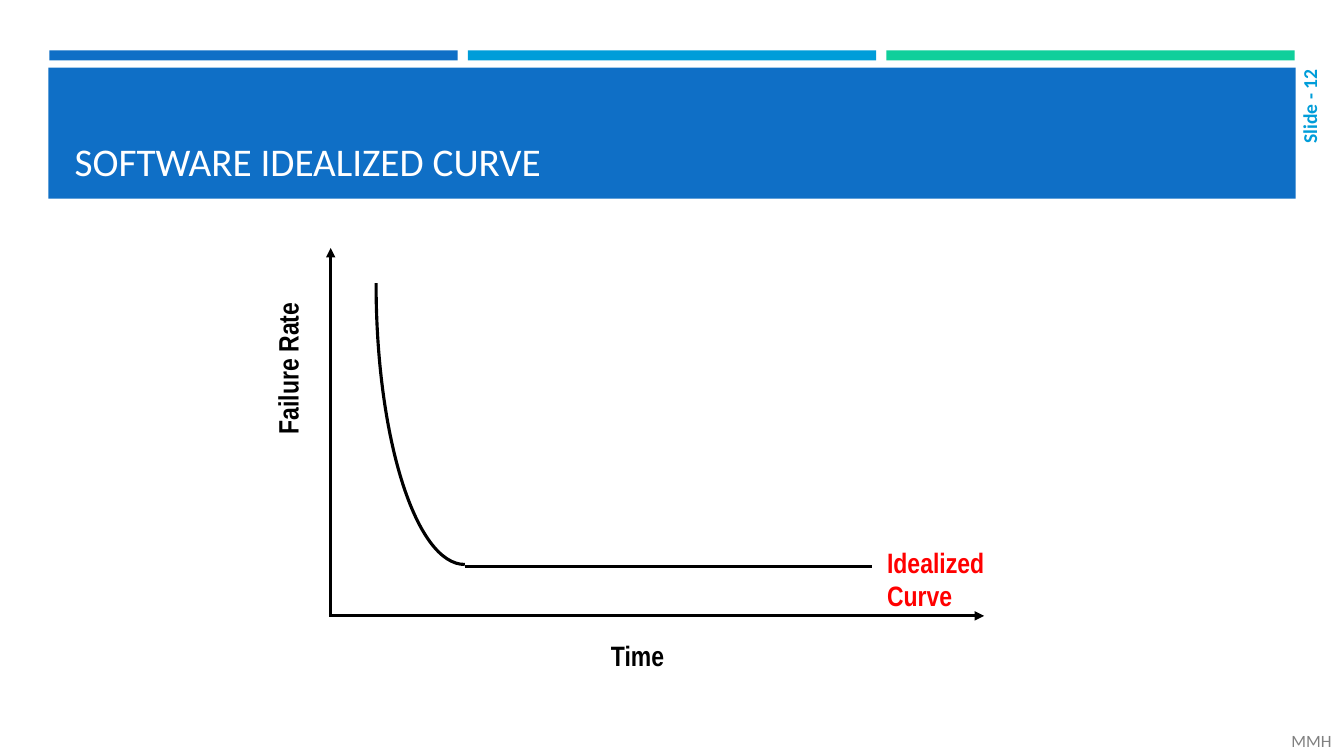
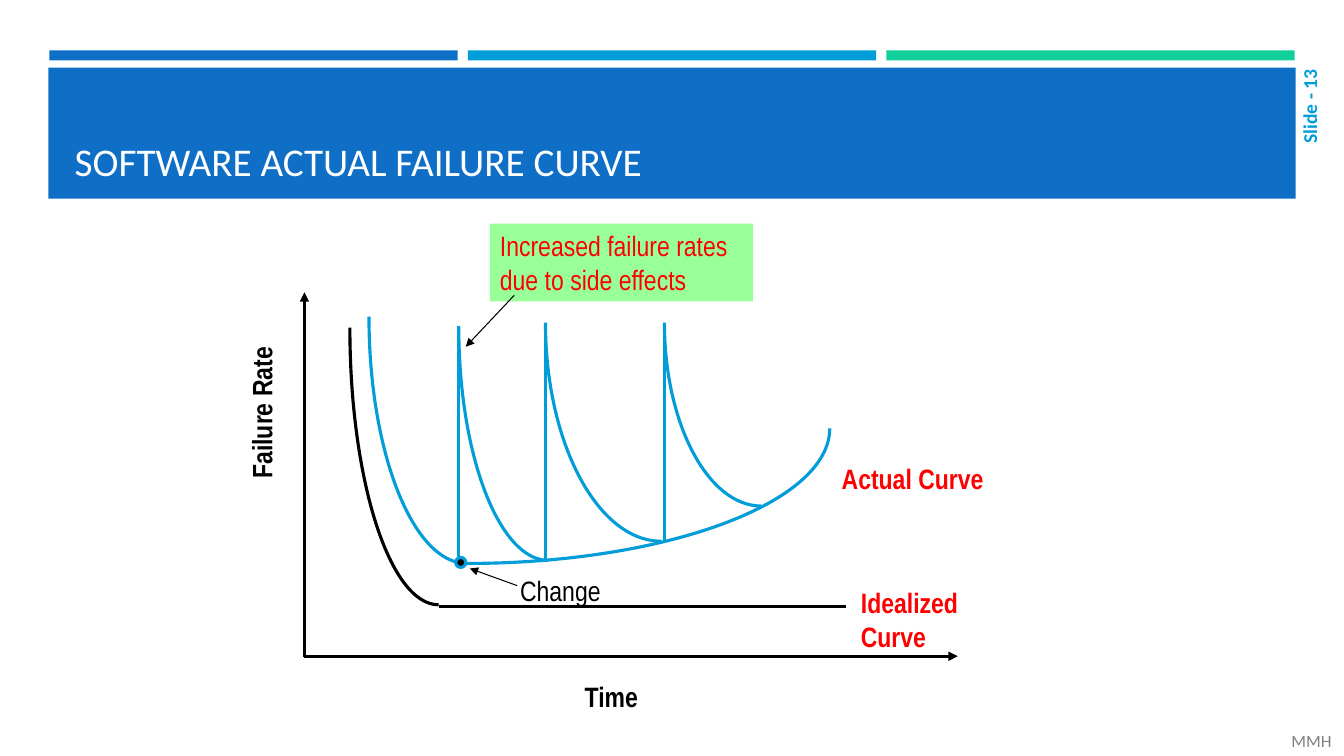
from pptx import Presentation
from pptx import util as u
from pptx.dml.color import RGBColor
from pptx.enum import shapes, text
from pptx.oxml import parse_xml
from pptx.oxml.ns import nsdecls, qn

BLUE = RGBColor(0x0F, 0x6F, 0xC6)
SKY = RGBColor(0x00, 0x9D, 0xD9)
GREEN = RGBColor(0x10, 0xCF, 0x9B)
MINT = RGBColor(0x99, 0xFF, 0x99)
RED = RGBColor(0xFF, 0x00, 0x00)
GREY = RGBColor(0x80, 0x80, 0x80)
BLACK = RGBColor(0x00, 0x00, 0x00)
WHITE = RGBColor(0xFF, 0xFF, 0xFF)

PX = 9144
HEAVY, FINE = 2.25, 0.75
ROUNDNESS = 0.55

STRIPES = (BLUE, SKY, GREEN)
STRIPE_LEFT, STRIPE_WIDTH, STRIPE_GAP = 49, 405, 10
TITLE_BAND = (48, 67, 1237, 130)
TITLE_BOX = (64, 77, 1206, 111)
NUMBER_BOX = (1275, 59, 47, 134)
AUTHOR_BOX = (1271, 720, 62, 30)
AUTHOR = "MMH"

SLIDES = [
    dict(title="SOFTWARE IDEALIZED CURVE", number=12, axes=(328, 246, 611), actual=False),
    dict(title="SOFTWARE ACTUAL FAILURE CURVE", number=13, axes=(302, 290, 651), actual=True),
]

FIRST_ARCS = [((463, 559), (366, 314)), ((463, 559), (823, 425))]
CHANGES = [
    ((455, 558), (455, 323), (544, 556), (455, 324)),
    ((541, 556), (541, 322), (656, 537), (541, 320)),
    ((659, 539), (659, 320), (755, 502), (659, 320)),
]
CHANGE_DOT = (452, 553, 10, 10)
CHANGE = ("Change", (506, 564, 102, 36), ((513, 581), (466, 564)))
ACTUAL_LABEL = ("Actual Curve", (825, 453, 163, 36))
CALLOUT = (
    "Increased failure rates\ndue to side effects",
    (486, 222, 261, 77),
    ((510, 293), (462, 344)),
)


def px(*lengths):
    return [u.Emu(round(length * PX)) for length in lengths]


def write(frame, content, size=20, color=BLACK, bold=False, font="Arial Narrow", wrap=True,
          align=text.PP_ALIGN.LEFT, anchor=text.MSO_ANCHOR.TOP):
    frame.word_wrap = wrap
    frame.auto_size = text.MSO_AUTO_SIZE.NONE
    frame.vertical_anchor = anchor
    frame.text = content
    for paragraph in frame.paragraphs:
        paragraph.alignment = align
        for run in paragraph.runs:
            run.font.name = font
            run.font.size = u.Pt(size)
            run.font.bold = bold
            run.font.color.rgb = color


def add_label(slide, box, content, **style):
    label = slide.shapes.add_textbox(*px(*box))
    write(label.text_frame, content, **style)
    return label


def add_block(slide, box, fill, kind=shapes.MSO_SHAPE.RECTANGLE, outline=None):
    block = slide.shapes.add_shape(kind, *px(*box))
    block.shadow.inherit = False
    block.fill.solid()
    block.fill.fore_color.rgb = fill
    if outline is None:
        block.line.fill.background()
    else:
        block.line.color.rgb = outline
        block.line.width = u.Pt(HEAVY)
    return block


def add_line(slide, start, end, color=BLACK, weight=HEAVY, arrow=False):
    line = slide.shapes.add_connector(shapes.MSO_CONNECTOR.STRAIGHT, *px(*start, *end))
    line.line.color.rgb = color
    line.line.width = u.Pt(weight)
    properties = line.element.spPr
    if arrow:
        head = parse_xml(f'<a:tailEnd {nsdecls("a")} type="triangle"/>')
        properties.find(qn("a:ln")).append(head)
    properties.append(parse_xml(f'<a:effectLst {nsdecls("a")}/>'))


def add_arc(slide, foot, tip, color=BLACK):
    foot_control = (foot[0] + ROUNDNESS * (tip[0] - foot[0]), foot[1])
    tip_control = (tip[0], tip[1] + ROUNDNESS * (foot[1] - tip[1]))
    builder = slide.shapes.build_freeform(*px(*foot), scale=1.0)
    builder.add_line_segments([px(*p) for p in (foot_control, tip_control, tip)], close=False)
    arc = builder.convert_to_shape()
    outline = next(arc.element.iter(qn("a:path")))
    bend = parse_xml(f'<a:cubicBezTo {nsdecls("a")}/>')
    for segment in outline.findall(qn("a:lnTo")):
        bend.append(segment[0])
        outline.remove(segment)
    outline.append(bend)
    arc.shadow.inherit = False
    arc.fill.background()
    arc.line.color.rgb = color
    arc.line.width = u.Pt(HEAVY)


def decorate_layout(layout, slide):
    bands = [
        add_block(slide, (STRIPE_LEFT + i * (STRIPE_WIDTH + STRIPE_GAP), 50, STRIPE_WIDTH, 10), color)
        for i, color in enumerate(STRIPES)
    ]
    bands.append(add_block(slide, TITLE_BAND, BLUE))
    for band in bands:
        layout.shapes.element.append(band.element)


def draw_frame(slide, title, number):
    heading = slide.shapes.title
    heading.left, heading.top, heading.width, heading.height = px(*TITLE_BOX)
    write(heading.text_frame, title, size=28, color=WHITE, font="Calibri",
          anchor=text.MSO_ANCHOR.BOTTOM)
    page = add_label(slide, NUMBER_BOX, f"Slide - {number}", size=14, color=SKY, bold=True,
                     font="Calibri", align=text.PP_ALIGN.RIGHT, anchor=text.MSO_ANCHOR.MIDDLE)
    page.text_frame._txBody.bodyPr.set("vert", "vert270")
    add_label(slide, AUTHOR_BOX, AUTHOR, size=12.3, color=GREY, font="Calibri",
              anchor=text.MSO_ANCHOR.MIDDLE)


def draw_idealized(slide, left, top, bottom):
    add_line(slide, (left, bottom + 1), (left, top), arrow=True)
    add_line(slide, (left, bottom), (left + 648, bottom), arrow=True)
    add_arc(slide, (left + 133, bottom - 51), (left + 45, top + 35))
    add_line(slide, (left + 133, bottom - 49), (left + 537, bottom - 49))
    rate = add_label(slide, (left - 108, top + 98, 130, 43), "Failure Rate", bold=True,
                     wrap=False, align=text.PP_ALIGN.CENTER)
    rate.rotation = 270
    add_label(slide, (left + 268, bottom + 18, 75, 36), "Time", bold=True)
    add_label(slide, (left + 542, bottom - 75, 180, 36), "Idealized Curve", color=RED, bold=True)


def draw_actual(slide):
    for foot, tip in FIRST_ARCS:
        add_arc(slide, foot, tip, SKY)
    for low, high, foot, tip in CHANGES:
        add_line(slide, low, high, SKY)
        add_arc(slide, foot, tip, SKY)
    add_block(slide, CHANGE_DOT, BLACK, shapes.MSO_SHAPE.OVAL, SKY)
    change, change_box, change_arrow = CHANGE
    add_label(slide, change_box, change)
    add_line(slide, *change_arrow, weight=FINE, arrow=True)
    actual, actual_box = ACTUAL_LABEL
    add_label(slide, actual_box, actual, color=RED, bold=True)
    effects, effects_box, effects_arrow = CALLOUT
    callout = add_block(slide, effects_box, MINT)
    write(callout.text_frame, effects, color=RED)
    add_line(slide, *effects_arrow, weight=FINE, arrow=True)


def main():
    deck = Presentation()
    deck.slide_width, deck.slide_height = u.Inches(13.33), u.Inches(7.5)
    layout = deck.slide_layouts[5]
    for index, content in enumerate(SLIDES):
        slide = deck.slides.add_slide(layout)
        if index == 0:
            decorate_layout(layout, slide)
        draw_frame(slide, content["title"], content["number"])
        draw_idealized(slide, *content["axes"])
        if content["actual"]:
            draw_actual(slide)
    deck.save("out.pptx")


if __name__ == "__main__":
    main()
